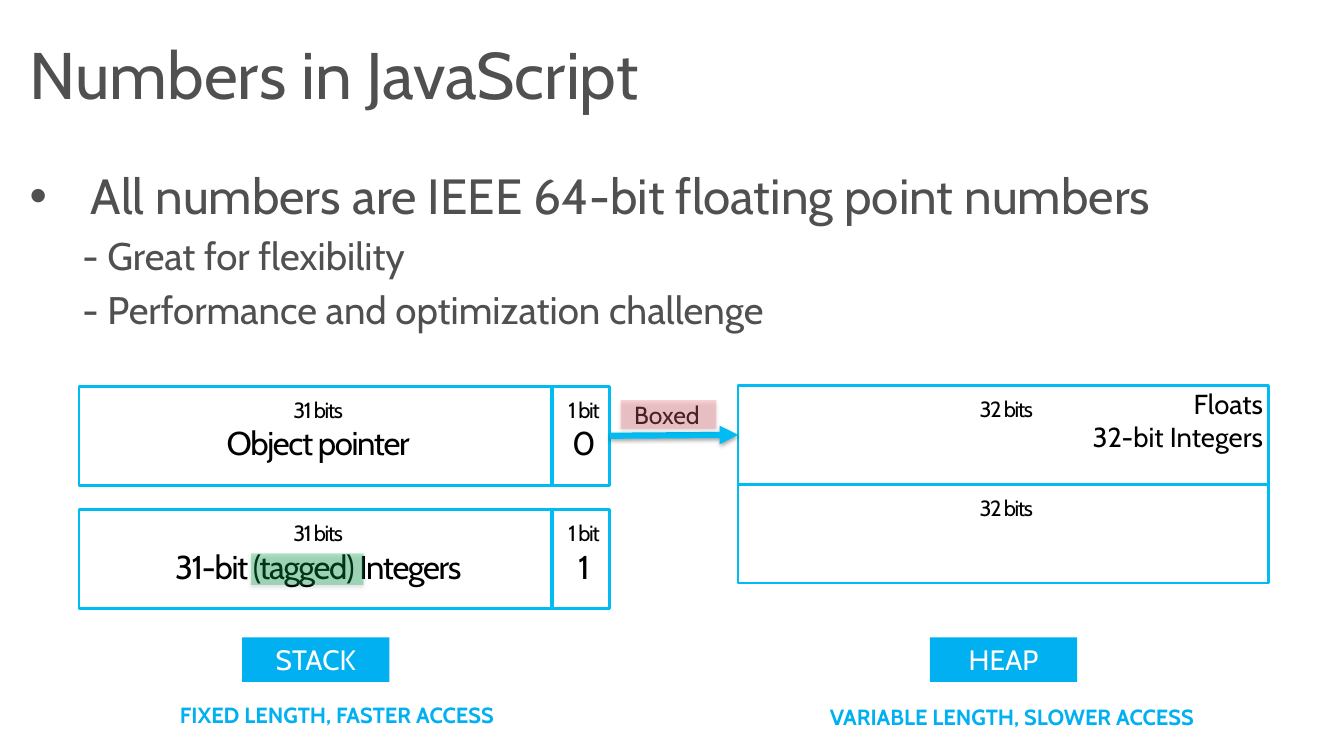
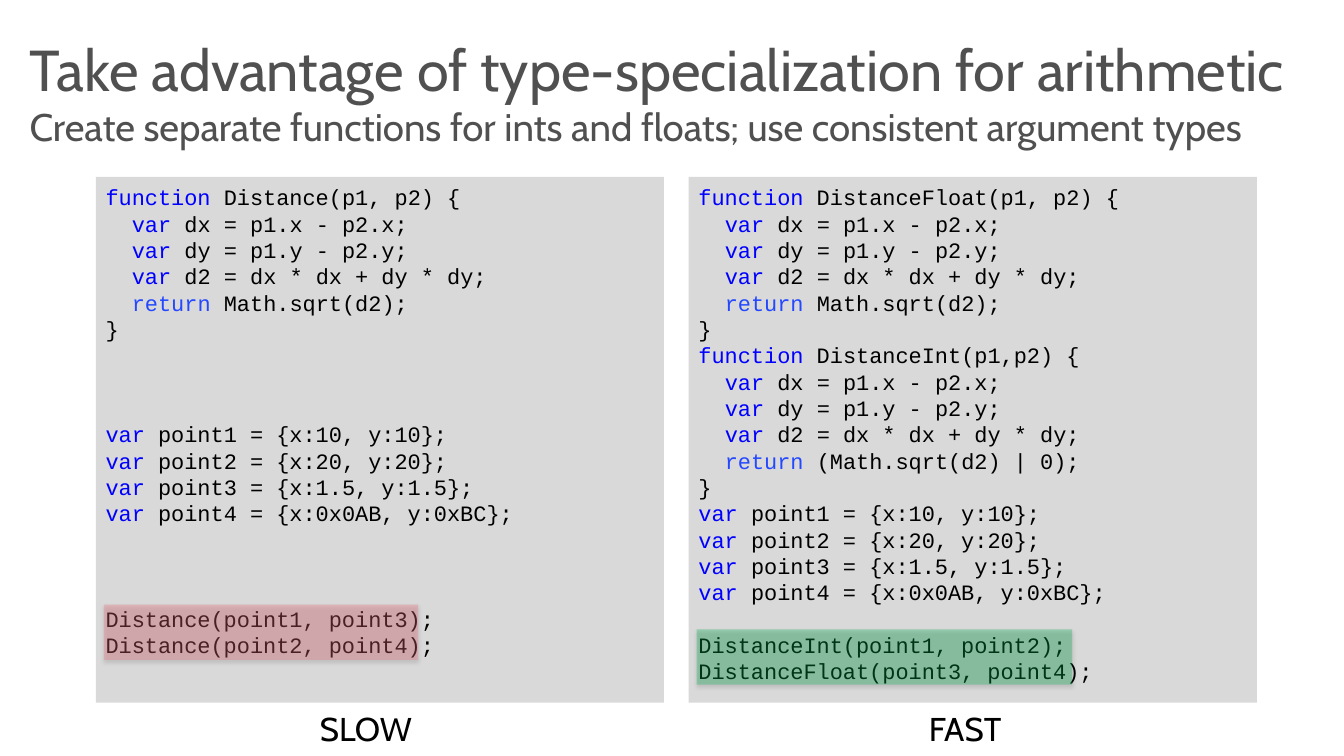
from dataclasses import dataclass
from typing import Any

from lxml.etree import SubElement as Sub
from pptx import Presentation
from pptx.dml.color import RGBColor as Rgb
from pptx.enum.shapes import MSO_CONNECTOR as Link, MSO_SHAPE as Form
from pptx.enum.text import MSO_ANCHOR as Anchor, MSO_AUTO_SIZE as Fit, PP_ALIGN as Align
from pptx.oxml.ns import qn
from pptx.util import Pt

GREY = Rgb(0x50, 0x50, 0x50)
BLACK = Rgb(0, 0, 0)
WHITE = Rgb(255, 255, 255)
CYAN = Rgb(0x00, 0xBC, 0xF2)
SKY = Rgb(0x00, 0xB0, 0xF0)
PINK = Rgb(0xF4, 0x6D, 0x78)
GREEN = Rgb(0x00, 0xB0, 0x50)
PALE = Rgb(0xD9, 0xD9, 0xD9)
BLUE = Rgb(0, 0, 255)
KEYS = {"function": BLUE, "var": BLUE, "return": Rgb(0x23, 0x48, 0xFF)}
CABIN, MONO = "Cabin", "Courier New"
PITCH = 19.2


@dataclass(frozen=True)
class Box:
    """A place on the slide, in points."""
    x: float
    y: float
    w: float
    h: float


@dataclass(frozen=True)
class Ink:
    """The look of a run."""
    size: float
    color: Rgb = BLACK
    face: str = CABIN
    bold: bool = False
    track: int = 0


@dataclass(frozen=True)
class Line:
    """One line of code, with its indent and the blank lines above it."""
    text: str
    dent: int = 0
    gap: int = 0


@dataclass(frozen=True)
class Cell:
    """A memory cell with its bit count and content."""
    box: Box
    bits: str
    text: str = ""


@dataclass(frozen=True)
class Store:
    """A memory area with its tag and note."""
    name: str
    tag: Box
    note: str
    place: Box


@dataclass(frozen=True)
class Panel:
    """A code panel with its verdict and marked calls."""
    code: list[Line]
    name: str
    label: Box
    mark: Box
    color: Rgb


def write(par: Any, text: str, ink: Ink) -> None:
    """Add one run."""
    run = par.add_run()
    run.text = text
    font = run.font
    font.size, font.name, font.bold = Pt(ink.size), ink.face, ink.bold
    font.color.rgb = ink.color
    if ink.track:
        run._r.get_or_add_rPr().set("spc", str(ink.track))


def start(frame: Any, index: int, align: Align = Align.LEFT) -> Any:
    """Return the paragraph at an index, adding it when needed."""
    par = frame.add_paragraph() if index else frame.paragraphs[0]
    par.alignment = align
    return par


def inset(frame: Any, left: float, top: float, right: float, bottom: float) -> None:
    """Set the margins of a frame."""
    frame.margin_left, frame.margin_top = Pt(left), Pt(top)
    frame.margin_right, frame.margin_bottom = Pt(right), Pt(bottom)


def dent(par: Any, left: float, first: float = 0) -> Any:
    """Indent a paragraph and return its properties."""
    props = par._p.get_or_add_pPr()
    props.set("marL", str(int(Pt(left))))
    props.set("indent", str(int(Pt(first))))
    return props


def spot(box: Box) -> tuple[Pt, Pt, Pt, Pt]:
    """Turn a box into lengths."""
    return Pt(box.x), Pt(box.y), Pt(box.w), Pt(box.h)


def rect(shapes: Any, box: Box, fill: Rgb, edge: Rgb | None = None) -> Any:
    """Draw a plain rectangle."""
    shape = shapes.add_shape(Form.RECTANGLE, *spot(box))
    shape.shadow.inherit = False
    shape.fill.solid()
    shape.fill.fore_color.rgb = fill
    if edge is None:
        shape.line.fill.background()
    else:
        shape.line.color.rgb = edge
        shape.line.width = Pt(2)
    return shape


def shade(shape: Any, dist: float, alpha: int) -> None:
    """Give a shape a soft shadow below."""
    props = shape._element.spPr
    list_ = props.find(qn("a:effectLst"))
    if list_ is None:
        list_ = Sub(props, qn("a:effectLst"))
    drop = Sub(list_, qn("a:outerShdw"), blurRad=str(int(Pt(3.1))),
               dist=str(int(Pt(dist))), dir="5400000", rotWithShape="0")
    tone = Sub(drop, qn("a:srgbClr"), val="000000")
    Sub(tone, qn("a:alpha"), val=str(alpha * 1000))


def mark(shapes: Any, box: Box, color: Rgb) -> None:
    """Lay a see-through marker over text."""
    shape = rect(shapes, box, color)
    tone = shape._element.spPr.find(qn("a:solidFill")).find(qn("a:srgbClr"))
    Sub(tone, qn("a:alpha"), val="30000")
    shade(shape, 1.6, 38)


def label(shapes: Any, box: Box, lines: list[str], ink: Ink, align: Align = Align.LEFT) -> None:
    """Add a text box."""
    frame = shapes.add_textbox(*spot(box)).text_frame
    frame.word_wrap = True
    for index, text in enumerate(lines):
        write(start(frame, index, align), text, ink)


def hold(shape: Any, box: Box) -> Any:
    """Place a placeholder and return its bare frame."""
    shape.left, shape.top, shape.width, shape.height = spot(box)
    frame = shape.text_frame
    frame.auto_size, frame.word_wrap = Fit.NONE, True
    frame.vertical_anchor = Anchor.TOP
    inset(frame, 0, 0, 0, 0)
    return frame


def title(slide: Any, *lines: tuple[str, float]) -> None:
    """Fill the title, one size per line."""
    par = start(hold(slide.shapes.title, Box(21.6, 24.5, 936, 72)), 0)
    for index, (text, size) in enumerate(lines):
        if index:
            par.add_line_break()
        write(par, text, Ink(size, GREY))


def body(slide: Any, head: str, items: list[str]) -> None:
    """Fill the list with a bullet and its dashed points."""
    frame = hold(slide.placeholders[1], Box(21.6, 120.5, 935, 105))
    par = start(frame, 0)
    par.space_before = Pt(0)
    Sub(dent(par, 44.64, -44.64), qn("a:buChar"), char="•")
    write(par, head, Ink(36, GREY))
    for index, text in enumerate(items, 1):
        par = start(frame, index)
        par.level = 1
        par.space_before = Pt(5.6)
        Sub(dent(par, 38.5), qn("a:buNone"))
        write(par, text, Ink(28, GREY))


def draw(shapes: Any, cell: Cell) -> Any:
    """Draw a memory cell."""
    shape = rect(shapes, cell.box, WHITE, CYAN)
    frame = shape.text_frame
    frame.word_wrap, frame.vertical_anchor = True, Anchor.TOP
    inset(frame, 7.2, 7.2, 2.9, 2.9)
    write(start(frame, 0, Align.CENTER), cell.bits, Ink(16, track=-100))
    if cell.text:
        write(start(frame, 1, Align.CENTER), cell.text, Ink(24, track=-100))
    return shape


def arrow(shapes: Any, tail: Any, head: Any) -> None:
    """Link the right side of one cell to the left side of another."""
    line = shapes.add_connector(Link.STRAIGHT, 0, 0, 0, 0)
    line.begin_connect(tail, 3)
    line.end_connect(head, 1)
    line.line.color.rgb = CYAN
    line.line.width = Pt(4.5)
    Sub(line.get_or_add_ln(), qn("a:tailEnd"), type="triangle")
    shade(line, 1.8, 35)


def area(shapes: Any, store: Store) -> None:
    """Draw the tag and note of a memory area."""
    frame = rect(shapes, store.tag, SKY).text_frame
    frame.vertical_anchor = Anchor.MIDDLE
    write(start(frame, 0, Align.CENTER), store.name, Ink(20.4, WHITE))
    label(shapes, store.place, [store.note], Ink(16, SKY, bold=True), Align.CENTER)


def func(name: str, args: str, result: str) -> list[Line]:
    """List the lines of a distance function."""
    inner = ["var dx = p1.x - p2.x;", "var dy = p1.y - p2.y;",
             "var d2 = dx * dx + dy * dy;", f"return {result};"]
    return [Line(f"function {name}({args}) {{"), *(Line(text, 1) for text in inner), Line("}")]


def points(gap: int) -> list[Line]:
    """List the point variables, set off by blank lines."""
    pairs = ["x:10, y:10", "x:20, y:20", "x:1.5, y:1.5", "x:0x0AB, y:0xBC"]
    return [Line(f"var point{num} = {{{pair}}};", 0, gap if num == 1 else 0)
            for num, pair in enumerate(pairs, 1)]


def listing(shapes: Any, box: Box, code: list[Line]) -> None:
    """Draw a code panel with coloured keywords."""
    frame = rect(shapes, box, PALE).text_frame
    frame.word_wrap, frame.vertical_anchor = True, Anchor.TOP
    inset(frame, 7.2, 5, 7.2, 3.6)
    for index, line in enumerate(code):
        par = start(frame, index)
        par.line_spacing, par.space_before = Pt(PITCH), Pt(line.gap * PITCH)
        dent(par, line.dent * 19.2)
        word, gap, rest = line.text.partition(" ")
        if word in KEYS:
            write(par, word, Ink(16, KEYS[word], MONO))
            write(par, gap + rest, Ink(16, face=MONO))
        else:
            write(par, line.text, Ink(16, face=MONO))


def numbers(deck: Any) -> None:
    """Build the slide on number storage."""
    slide = deck.slides.add_slide(deck.slide_layouts[1])
    shapes = slide.shapes
    title(slide, ("Numbers in JavaScript", 48))
    body(slide, "All numbers are IEEE 64-bit floating point numbers",
         ["- Great for flexibility", "- Performance and optimization challenge"])
    for top, text, bit in ((371.5, "31-bit (tagged) Integers", "1"), (281.5, "Object pointer", "0")):
        draw(shapes, Cell(Box(57.6, top, 344.2, 72), "31 bits", text))
        tail = draw(shapes, Cell(Box(402.5, top, 41.8, 72), "1 bit", bit))
    heap = shapes.add_group_shape().shapes
    head, _ = [draw(heap, Cell(Box(537.8, 280.8 + 72 * row, 386.6, 72), "32 bits")) for row in range(2)]
    arrow(shapes, tail, head)
    label(shapes, Box(771.8, 278.6, 155.5, 57), ["Floats", "32-bit Integers"], Ink(20), Align.RIGHT)
    for store in (
        Store("STACK", Box(176.4, 464.4, 107.3, 32.4),
              "FIXED LENGTH, FASTER ACCESS", Box(46, 507.6, 399, 27.4)),
        Store("HEAP", Box(677.5, 464.4, 107.3, 32.4),
              "VARIABLE LENGTH, SLOWER ACCESS", Box(537.8, 509, 399, 27.4)),
    ):
        area(shapes, store)
    boxed = shapes.add_group_shape().shapes
    label(boxed, Box(455, 288, 80, 29.5), ["Boxed"], Ink(18))
    mark(boxed, Box(452.2, 291.6, 69.8, 20.9), PINK)
    mark(shapes, Box(182.9, 403.2, 82, 23), GREEN)


def types(deck: Any) -> None:
    """Build the slide on type-specialized code."""
    slide = deck.slides.add_slide(deck.slide_layouts[5])
    shapes = slide.shapes
    title(slide, ("Take advantage of type-specialization for arithmetic", 42),
          ("Create separate functions for ints and floats; use consistent argument types", 28))
    slow = [*func("Distance", "p1, p2", "Math.sqrt(d2)"), *points(3),
            Line("Distance(point1, point3);", gap=3), Line("Distance(point2, point4);")]
    fast = [*func("DistanceFloat", "p1, p2", "Math.sqrt(d2)"),
            *func("DistanceInt", "p1,p2", "(Math.sqrt(d2) | 0)"), *points(0),
            Line("DistanceInt(point1, point2);", gap=1), Line("DistanceFloat(point3, point4);")]
    panels = [
        Panel(slow, "SLOW", Box(226, 512.6, 95.8, 36.7), Box(75.6, 440.6, 229, 40.3), PINK),
        Panel(fast, "FAST", Box(669.6, 512.6, 77.8, 36.7), Box(507.6, 458.6, 273.6, 40.3), GREEN),
    ]
    for index, panel in enumerate(panels):
        listing(shapes, Box(69.8 + 432 * index, 128.9, 414, 383), panel.code)
        label(shapes, panel.label, [panel.name], Ink(24))
        mark(shapes, panel.mark, panel.color)


def main() -> None:
    """Build and save the deck."""
    deck = Presentation()
    deck.slide_width, deck.slide_height = Pt(979.2), Pt(550.8)
    numbers(deck)
    types(deck)
    deck.save("out.pptx")


if __name__ == "__main__":
    main()
